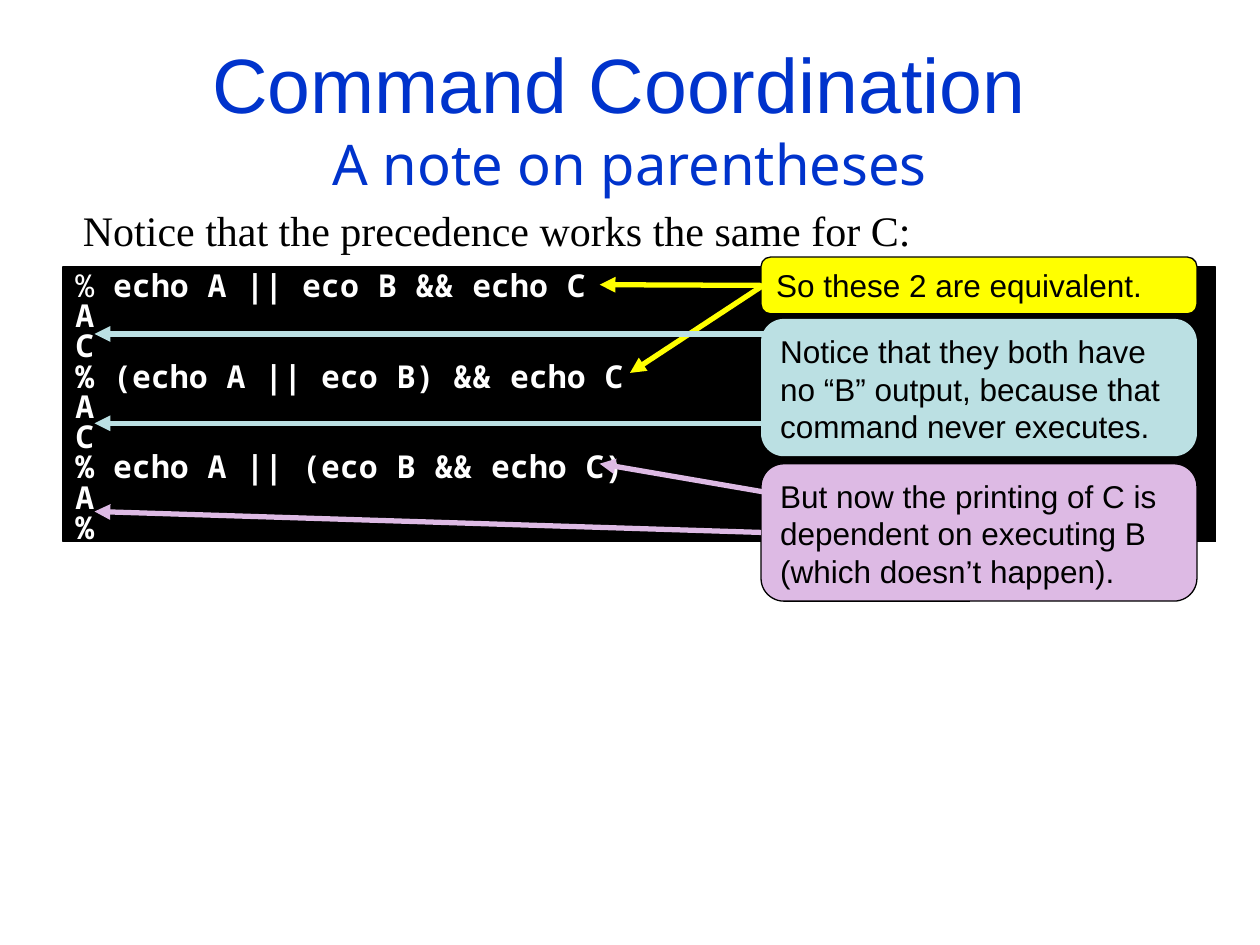
from lxml.etree import SubElement
from pptx import Presentation
from pptx.dml.color import RGBColor
from pptx.enum.shapes import MSO_CONNECTOR as Connector, MSO_SHAPE as Shape
from pptx.enum.text import MSO_ANCHOR as Anchor, PP_ALIGN as Align
from pptx.oxml.ns import qn
from pptx.util import Pt

COLORS = {
    "title": "0033CC",
    "black": "000000",
    "white": "FFFFFF",
    "yellow": "FFFF00",
    "purple": "DDBAE4",
    "blue": "BBE0E3",
}
LEFT_SIDE = 1
CALLOUT_LEFT, CALLOUT_WIDTH = 434.9, 249.1

TERMINAL_LINES = [
    "echo A || eco B && echo C",
    "A",
    "C",
    "% (echo A || eco B) && echo C",
    "A",
    "C",
    "% echo A || (eco B && echo C)",
    "A",
    "%",
]

# Text, color, top, height, outline, arrows (start, or None for the left side; end)
CALLOUTS = [
    ("So these 2 are equivalent.", "yellow", 146.9, 32.4, "black",
     [((439.9, 160.6), (360, 213.1)), (None, (342.7, 162.7))]),
    ("But now the printing of C is dependent on executing B "
     "(which doesn’t happen).", "purple", 265, 78.5, "black",
     [(None, (54, 292.3)), ((442.8, 282.2), (342.7, 265))]),
    ("Notice that they both have no “B” output, because that "
     "command never executes.", "blue", 182.2, 78.5, None,
     [((442.8, 241.9), (54, 241.9)), ((442.8, 190.8), (54, 190.8))]),
]


def color(name):
    return RGBColor.from_string(COLORS[name])


def set_font(font, name, size, color_name, bold=False):
    font.name, font.size, font.bold = name, Pt(size), bold
    font.color.rgb = color(color_name)


def add_text_box(page, left, top, width, height):
    box = page.shapes.add_textbox(Pt(left), Pt(top), Pt(width), Pt(height))
    box.text_frame.word_wrap = True
    return box.text_frame


def add_panel(page, kind, left, top, width, height, fill, outline):
    panel = page.shapes.add_shape(kind, Pt(left), Pt(top), Pt(width), Pt(height))
    panel.shadow.inherit = False
    panel.fill.solid()
    panel.fill.fore_color.rgb = color(fill)
    if outline:
        panel.line.color.rgb = color(outline)
        panel.line.width = Pt(0.75)
    else:
        panel.line.fill.background()
    panel.text_frame.vertical_anchor = Anchor.TOP
    return panel


def add_title(page):
    frame = add_text_box(page, 36, 21.6, 648, 90)
    frame.vertical_anchor = Anchor.MIDDLE
    para = frame.paragraphs[0]
    para.alignment = Align.CENTER
    span = para.add_run()
    span.text = "Command Coordination "
    set_font(span.font, "Arial", 44, "title")
    para.add_line_break()
    span = para.add_run()
    span.text = "A note on parentheses"
    set_font(span.font, "Noto Sans", 32, "title")


def add_lead(page):
    frame = add_text_box(page, 36, 116.6, 684, 30.2)
    frame.margin_left = Pt(11.4)
    para = frame.paragraphs[0]
    para.text = "Notice that the precedence works the same for C:"
    para.line_spacing = 0.9
    set_font(para.font, "Times New Roman", 24, "black")


def add_terminal(page):
    panel = add_panel(page, Shape.RECTANGLE, 36, 152.6, 658.8, 157, "black", "black")
    frame = panel.text_frame
    for index, line in enumerate(TERMINAL_LINES):
        para = frame.paragraphs[0] if index == 0 else frame.add_paragraph()
        para.alignment = Align.LEFT
        para.line_spacing = 0.8
        set_font(para.font, "Noto Sans Mono", 18, "white", bold=True)
        if index == 0:
            # The first prompt sign is not bold
            prompt = para.add_run()
            prompt.text = "% "
            prompt.font.bold = False
        para.add_run().text = line


def add_arrow(page, callout, start, end, color_name):
    x, y = start or (0, 0)
    arrow = page.shapes.add_connector(
        Connector.STRAIGHT, Pt(x), Pt(y), Pt(end[0]), Pt(end[1]))
    if start is None:
        arrow.begin_connect(callout, LEFT_SIDE)
    arrow.line.color.rgb = color(color_name)
    arrow.line.width = Pt(3)
    SubElement(arrow.line._get_or_add_ln(), qn("a:tailEnd"), type="triangle")
    SubElement(arrow._element.spPr, qn("a:effectLst"))


def add_callout(page, text, fill, top, height, outline, arrows):
    callout = add_panel(page, Shape.FLOWCHART_ALTERNATE_PROCESS, CALLOUT_LEFT, top,
                        CALLOUT_WIDTH, height, fill, outline)
    para = callout.text_frame.paragraphs[0]
    para.text = text
    para.alignment = Align.LEFT
    set_font(para.font, "Arial", 18, "black")
    for start, end in arrows:
        add_arrow(page, callout, start, end, fill)


def main():
    deck = Presentation()
    deck.slide_width, deck.slide_height = Pt(720), Pt(540)
    page = deck.slides.add_slide(deck.slide_layouts[6])

    # Heading and lead sentence
    add_title(page)
    add_lead(page)

    # Terminal session with its annotations
    add_terminal(page)
    for callout in CALLOUTS:
        add_callout(page, *callout)

    deck.save("out.pptx")


if __name__ == "__main__":
    main()
